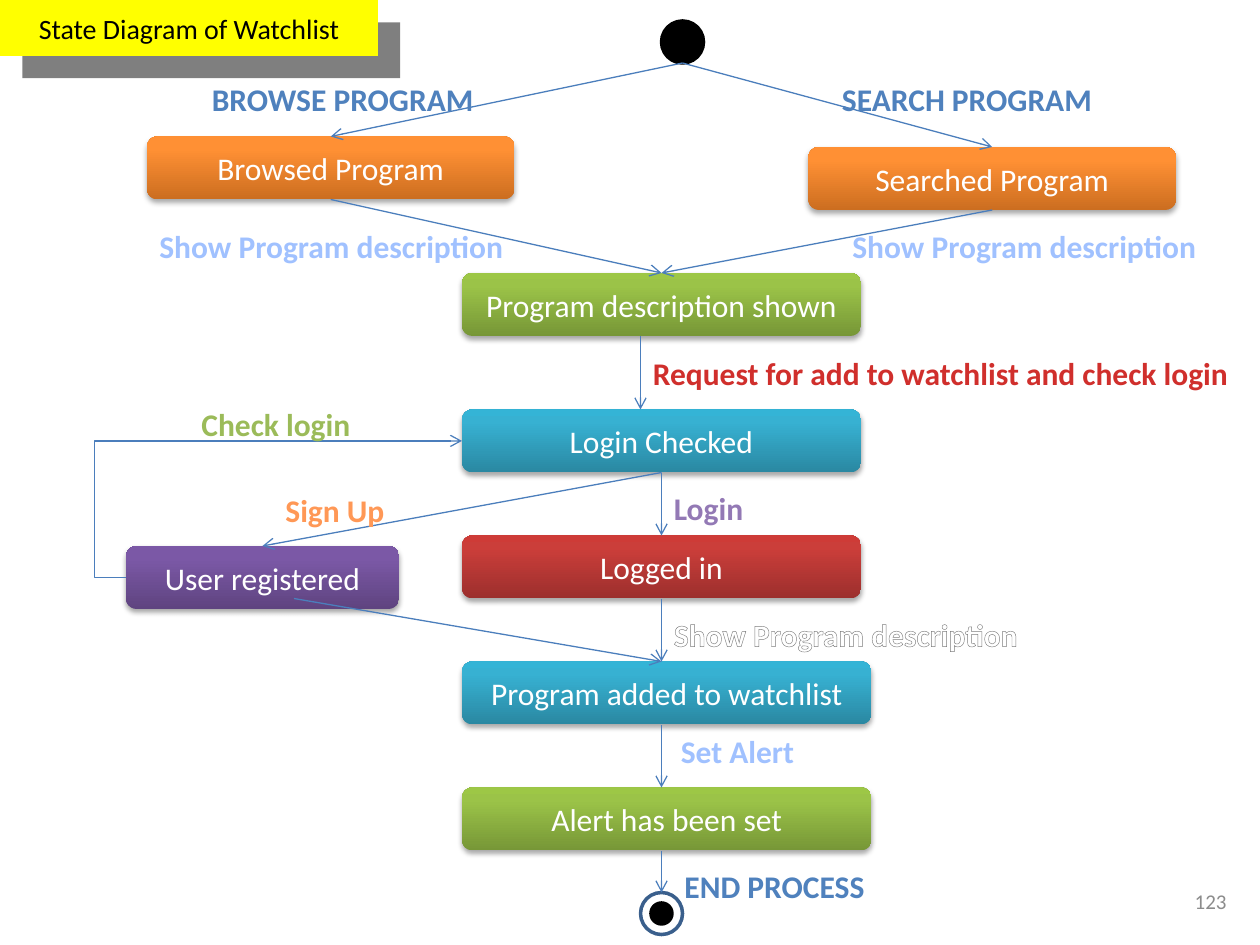
from lxml.etree import SubElement
from pptx import Presentation
from pptx.dml.color import RGBColor
from pptx.enum.shapes import MSO_CONNECTOR, MSO_SHAPE
from pptx.enum.text import MSO_ANCHOR, MSO_AUTO_SIZE, PP_ALIGN
from pptx.oxml.ns import qn
from pptx.util import Pt

# Content: all lengths in points
TITLE = "State Diagram of Watchlist"
PAGE_NUMBER = "123"
FONT = "Calibri"
LINE_COLOR = "4B7EBC"
BOX_HEIGHT = 36
LABEL_HEIGHT = 29

# Gradient stops at 0, 80 and 100 percent, from bottom to top
ORANGE = ("CC6E20", "FF9034", "FF9136")
GREEN = ("779737", "9BC348", "9DC746")
TEAL = ("2A88A2", "37B1D2", "34B4D6")
RED = ("9C2F2D", "CB3E3A", "CE3B37")
PURPLE = ("5F4480", "7B58A6", "7C57A8")

# State: text, left, top, width, gradient
STATES = [
    ("Browsed Program", 84, 78, 210, ORANGE),
    ("Searched Program", 462, 84, 210, ORANGE),
    ("Program description shown", 264, 156, 228, GREEN),
    ("Login Checked", 264, 234, 228, TEAL),
    ("User registered", 72, 312, 156, PURPLE),
    ("Logged in", 264, 306, 228, RED),
    ("Program added to watchlist", 264, 378, 234, TEAL),
    ("Alert has been set", 264, 450, 234, GREEN),
]

# Start and end markers: left, top, diameter, fill, line
MARKERS = [
    (378, 12, 24, "000000", "000000"),
    (366, 510, 24, "FFFFFF", "3A5F8C"),
    (372, 516, 12, "000000", "000000"),
]

# Straight transitions: from, to
AXIS = 378
START = (390, 36)
ARROWS = [
    (START, (189, 78)),
    (START, (567, 84)),
    ((189, 114), (AXIS, 156)),
    ((567, 120), (AXIS, 156)),
    ((366, 192), (366, 234)),
    ((AXIS, 270), (150, 312)),
    ((AXIS, 270), (AXIS, 306)),
    ((168, 342), (AXIS, 378)),
    ((AXIS, 342), (AXIS, 378)),
    ((AXIS, 414), (AXIS, 450)),
    ((AXIS, 486), (AXIS, 510)),
]
RETURN_FROM, RETURN_TO, RETURN_REACH = (72, 330), (264, 252), 18

# Transition label: text, left, top, width, colour, outline
LABELS = [
    ("BROWSE PROGRAM", 114, 42, 174, "4F81BD", None),
    ("SEARCH PROGRAM", 474, 42, 168, "4F81BD", None),
    ("Show Program description", 84, 126, 216, "A0C1FF", "467AB8"),
    ("Show Program description", 480, 126, 216, "A0C1FF", "467AB8"),
    ("Request for add to watchlist and check login", 366, 199, 354, "D02F2C", None),
    ("Check login", 108, 228, 156, "9BBB59", None),
    ("Sign Up", 156, 277, 120, "FF9856", None),
    ("Login", 378, 276, 60, "9379B5", None),
    ("Show Program description", 378, 348, 216, "FFFFFF", "7D7D7D"),
    ("Set Alert", 382, 415, 92, "A0C1FF", "467AB8"),
    ("END PROCESS", 384, 492, 126, "4F81BD", None),
]


def rgb(color):
    return RGBColor.from_string(color)


def add_solid(parent, color):
    fill = SubElement(parent, qn("a:solidFill"))
    return SubElement(fill, qn("a:srgbClr"), val=color)


def write(shape, text, size=18, color="FFFFFF", bold=False, outline=None,
          align=PP_ALIGN.CENTER, anchor=MSO_ANCHOR.MIDDLE):
    frame = shape.text_frame
    frame.word_wrap = True
    frame.vertical_anchor = anchor
    para = frame.paragraphs[0]
    para.alignment = align
    span = para.add_run()
    span.text = text
    span.font.name = FONT
    span.font.size = Pt(size)
    span.font.bold = bold
    span.font.color.rgb = rgb(color)
    if outline:
        properties = span.font._element
        line = SubElement(properties, qn("a:ln"), w=str(Pt(0.83)))
        add_solid(line, outline)
        properties.insert(0, line)


def set_shadow(shape, blur=0, distance=0, angle=0, opacity=0):
    """Give a shape its own shadow, or none when the opacity is zero."""
    effects = SubElement(shape._element.spPr, qn("a:effectLst"))
    if opacity:
        shadow = SubElement(effects, qn("a:outerShdw"), blurRad=str(Pt(blur)),
                            dist=str(Pt(distance)), dir=str(angle * 60000),
                            algn="tl", rotWithShape="0")
        color = add_color(shadow, "000000")
        SubElement(color, qn("a:alpha"), val=str(opacity * 1000))


def add_color(parent, color):
    return SubElement(parent, qn("a:srgbClr"), val=color)


def set_gradient(shape, colors):
    shape.fill.gradient()
    shape.fill.gradient_angle = 90
    stops = shape._element.spPr.find(qn("a:gradFill")).find(qn("a:gsLst"))
    for stop in list(stops):
        stops.remove(stop)
    for percent, color in zip((0, 80, 100), colors):
        add_color(SubElement(stops, qn("a:gs"), pos=str(percent * 1000)), color)


def add_arrow(page, kind, start, end):
    arrow = page.shapes.add_connector(kind, *map(Pt, start + end))
    arrow.line.color.rgb = rgb(LINE_COLOR)
    arrow.line.width = Pt(0.75)
    SubElement(arrow.line._get_or_add_ln(), qn("a:tailEnd"), type="arrow")
    set_shadow(arrow)
    return arrow


def add_text(page, area, text, **style):
    box = page.shapes.add_textbox(*map(Pt, area))
    write(box, text, **style)
    return box


def main():
    deck = Presentation()
    deck.slide_width, deck.slide_height = Pt(720), Pt(540)
    page = deck.slides.add_slide(deck.slide_layouts[5])

    # Title banner
    title = page.shapes.title
    title.left, title.top, title.width, title.height = map(Pt, (0, 0, 216, 32))
    title.fill.solid()
    title.fill.fore_color.rgb = rgb("FFFF00")
    title.line.fill.background()
    set_shadow(title, distance=18, angle=45, opacity=50)
    write(title, TITLE, size=16, color="000000")

    # States
    for text, left, top, width, colors in STATES:
        box = page.shapes.add_shape(MSO_SHAPE.ROUNDED_RECTANGLE,
                                    *map(Pt, (left, top, width, BOX_HEIGHT)))
        set_gradient(box, colors)
        box.line.fill.background()
        set_shadow(box, blur=3.1, distance=1.8, angle=90, opacity=35)
        write(box, text)

    # Start and end markers
    for left, top, size, fill, line in MARKERS:
        marker = page.shapes.add_shape(MSO_SHAPE.OVAL, *map(Pt, (left, top, size, size)))
        marker.fill.solid()
        marker.fill.fore_color.rgb = rgb(fill)
        marker.line.color.rgb = rgb(line)
        marker.line.width = Pt(2)
        marker.shadow.inherit = False

    # Transitions
    for start, end in ARROWS:
        add_arrow(page, MSO_CONNECTOR.STRAIGHT, start, end)
    loop = add_arrow(page, MSO_CONNECTOR.ELBOW, RETURN_FROM, RETURN_TO)
    bend = round(-RETURN_REACH / (RETURN_TO[0] - RETURN_FROM[0]) * 100000)
    geometry = loop._element.spPr.find(qn("a:prstGeom"))
    SubElement(geometry.find(qn("a:avLst")), qn("a:gd"), name="adj1", fmla=f"val {bend}")

    # Transition labels
    for text, left, top, width, color, outline in LABELS:
        label = add_text(page, (left, top, width, LABEL_HEIGHT), text, color=color, bold=True,
                         outline=outline, align=PP_ALIGN.LEFT, anchor=MSO_ANCHOR.TOP)
        label.text_frame.auto_size = MSO_AUTO_SIZE.SHAPE_TO_FIT_TEXT

    # Page number
    add_text(page, (540, 500.5, 168, 29), PAGE_NUMBER, size=12, color="8C8C8C",
             align=PP_ALIGN.RIGHT)

    deck.save("out.pptx")


if __name__ == "__main__":
    main()
